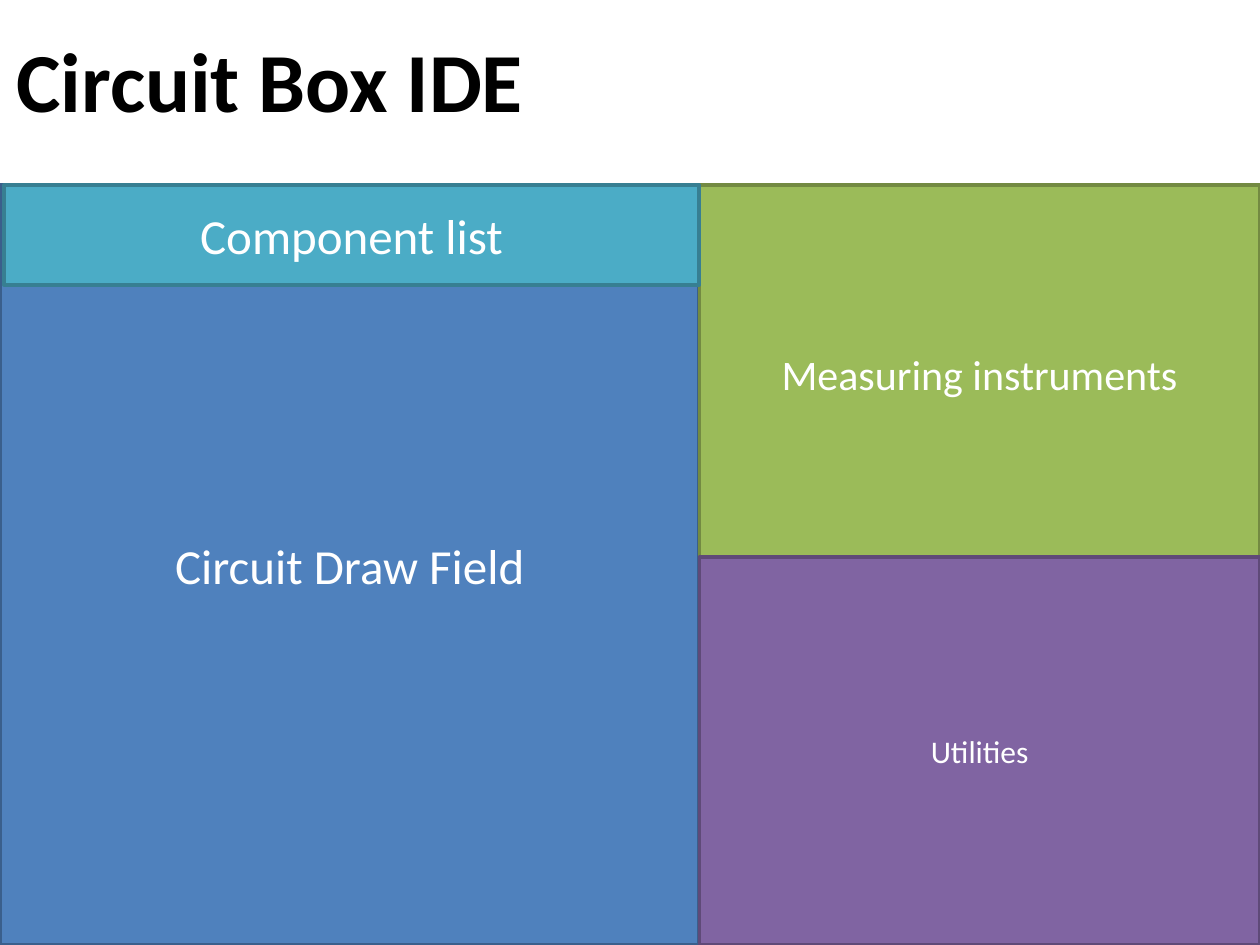
from pptx import Presentation
from pptx.dml.color import RGBColor as RGB
from pptx.enum.shapes import MSO_SHAPE as Shape
from pptx.enum.text import MSO_ANCHOR as Anchor, PP_ALIGN as Align
from pptx.util import Inches, Pt

COLORS = {
    "black": "000000", "white": "FFFFFF",
    "blue": "4F81BD", "blue_edge": "3A5F8C",
    "green": "9BBB59", "green_edge": "738A42",
    "purple": "8064A2", "purple_edge": "5F4A78",
    "teal": "4BACC6", "teal_edge": "377F92",
}


def write(shape, text, size, color="white", bold=False,
          align=Align.CENTER, anchor=Anchor.MIDDLE):
    frame = shape.text_frame
    frame.word_wrap = True
    frame.vertical_anchor = anchor
    para = frame.paragraphs[0]
    para.alignment = align
    run = para.add_run()
    run.text = text
    font = run.font
    font.name, font.size, font.bold = "Calibri", Pt(size), bold
    font.color.rgb = RGB.from_string(COLORS[color])


deck = Presentation()
deck.slide_width, deck.slide_height = Inches(10), Inches(7.5)
slide = deck.slides.add_slide(deck.slide_layouts[5])

# Title
title = slide.shapes.title
title.left, title.top = Inches(0.03), Inches(0.18)
title.width, title.height = Inches(5.28), Inches(0.91)
write(title, "Circuit Box IDE", 48, color="black", bold=True,
      align=Align.LEFT, anchor=Anchor.TOP)

# Panels: text, size, color, left, top, right, bottom
top, split = 1.47, 5.55
panels = [
    ("Circuit Draw Field", 28, "blue", 0, top, split, 7.5),
    ("Measuring instruments", 24, "green", split, top, 10, 4.46),
    ("Utilities", 18, "purple", split, 4.42, 10, 7.5),
    ("Component list", 28, "teal", 0.03, top, split, 2.26),
]
for text, size, color, x, y, right, base in panels:
    panel = slide.shapes.add_shape(
        Shape.RECTANGLE, Inches(x), Inches(y),
        Inches(right - x), Inches(base - y))
    panel.shadow.inherit = False
    panel.fill.solid()
    panel.fill.fore_color.rgb = RGB.from_string(COLORS[color])
    panel.line.color.rgb = RGB.from_string(COLORS[color + "_edge"])
    panel.line.width = Pt(2)
    write(panel, text, size)

deck.save("out.pptx")
